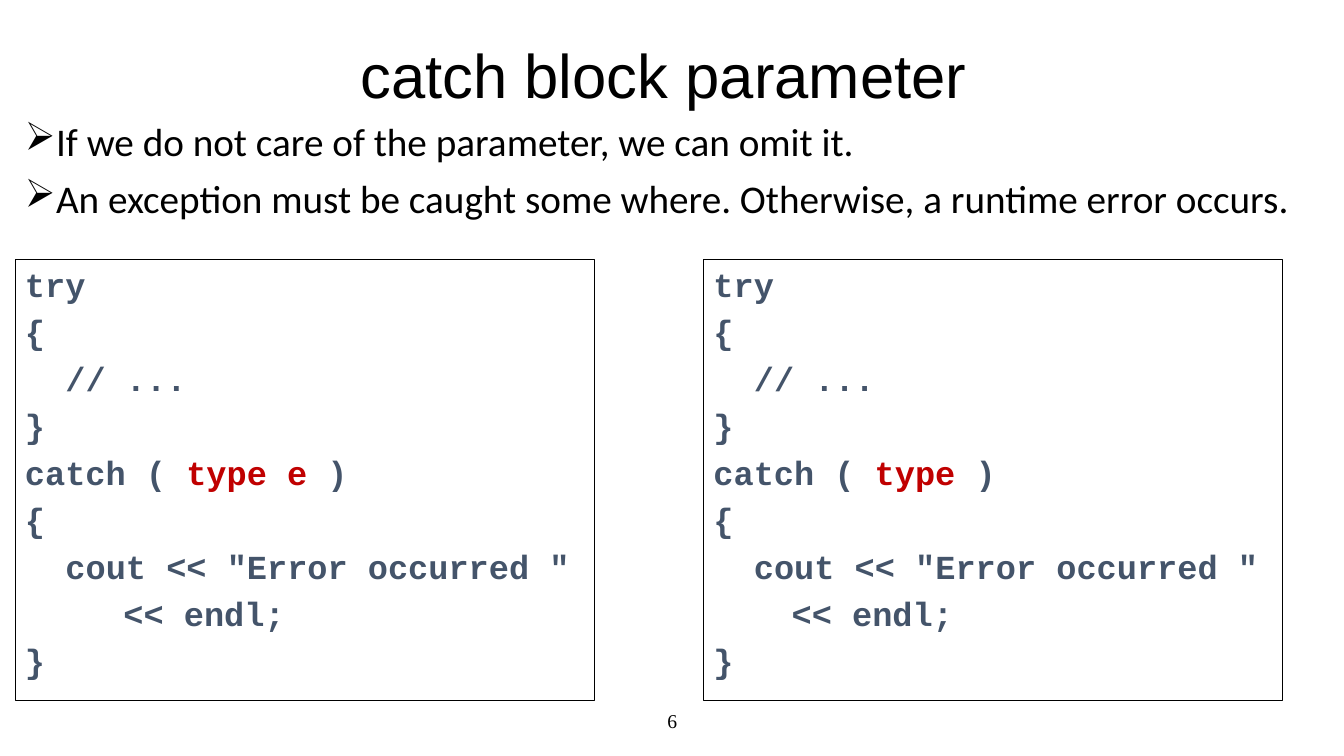
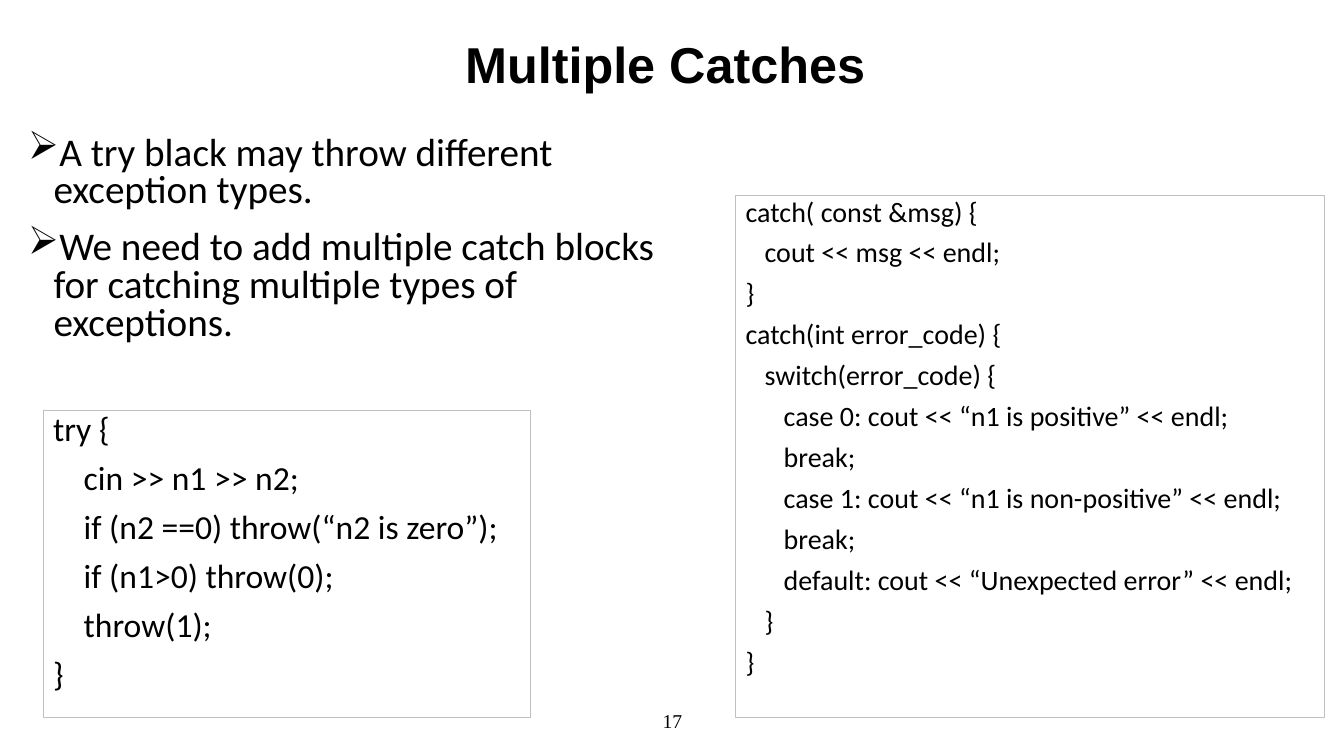
from pptx import Presentation
from pptx.util import Cm, Pt
from pptx.dml.color import RGBColor
from pptx.enum import shapes, text
from pptx.oxml import parse_xml
from pptx.oxml.ns import nsdecls

BLACK = RGBColor(0x00, 0x00, 0x00)
SLATE = RGBColor(0x44, 0x54, 0x6A)
RED = RGBColor(0xC0, 0x00, 0x00)
GREY = RGBColor(0xBF, 0xBF, 0xBF)
HANG = Cm(0.64)
# Wingdings draws this letter as an arrowhead
BULLET = ('<a:buFont {ns} typeface="Wingdings" charset="2"/>',
          '<a:buChar {ns} char="\u00d8"/>')


def add_run(p, words, font, size, color=BLACK, bold=False):
    r = p.add_run()
    r.text = words
    r.font.name, r.font.size, r.font.bold = font, Pt(size), bold
    r.font.color.rgb = color


def set_indent(p, left, first=0):
    pPr = p._p.get_or_add_pPr()
    pPr.set("marL", str(int(left)))
    pPr.set("indent", str(int(first)))
    return pPr


def next_paragraph(tf, i, spacing=1.0, before=0):
    p = tf.add_paragraph() if i else tf.paragraphs[0]
    p.line_spacing, p.space_before = spacing, Pt(before)
    return p


def add_text(s, x, y, w, h, anchor=text.MSO_ANCHOR.TOP):
    tf = s.shapes.add_textbox(Cm(x), Cm(y), Cm(w), Cm(h)).text_frame
    tf.word_wrap = True
    tf.vertical_anchor = anchor
    return tf


def add_centred(s, box, words, font, size, bold=False, spacing=1.0):
    tf = add_text(s, *box, anchor=text.MSO_ANCHOR.MIDDLE)
    p = next_paragraph(tf, 0, spacing)
    p.alignment = text.PP_ALIGN.CENTER
    add_run(p, words, font, size, bold=bold)


def add_slide(prs, number, title, top, height, size, bold=False):
    s = prs.slides.add_slide(prs.slide_layouts[6])
    add_centred(s, (11.23, 17.65, 11.43, 1.02), number, "Times New Roman", 14)
    add_centred(s, (6.15, top, 21.59, height), title, "Arial", size, bold, 0.9)
    return s


def add_bullets(s, box, items, spacing, before):
    tf = add_text(s, *box)
    for i, words in enumerate(items):
        p = next_paragraph(tf, i, spacing, before)
        pPr = set_indent(p, HANG, -HANG)
        for xml in BULLET:
            pPr.append(parse_xml(xml.format(ns=nsdecls("a"))))
        add_run(p, words, "Calibri", 28)


def add_code(s, box, lines, font, size, before, spacing=1.0,
             color=BLACK, border=GREY, bold=False):
    """Each line is (indent in cm, words, ...); every second piece of words is red."""
    sp = s.shapes.add_shape(shapes.MSO_SHAPE.RECTANGLE, *map(Cm, box))
    sp.shadow.inherit = False
    sp.fill.background()
    sp.line.color.rgb, sp.line.width = border, Pt(0.75)
    tf = sp.text_frame
    tf.word_wrap = True
    tf.vertical_anchor = text.MSO_ANCHOR.TOP
    for i, (indent, *pieces) in enumerate(lines):
        p = next_paragraph(tf, i, spacing, before)
        p.alignment = text.PP_ALIGN.LEFT
        set_indent(p, Cm(indent))
        for j, words in enumerate(pieces):
            add_run(p, words, font, size, RED if j % 2 else color, bold)


def catch_parameter(prs):
    s = add_slide(prs, "6", "catch block parameter ", 0, 3.96, 44)
    add_bullets(s, (0.38, 2.97, 33.48, 4.88), [
        "If we do not care of the parameter, we can omit it.",
        "An exception must be caught some where. Otherwise, a runtime error occurs.",
    ], 0.9, 10)
    # The same code with a named and an unnamed parameter
    for x, parameter, continuation in ((0.38, "type e ", 2.48),
                                       (17.73, "type ", 1.97)):
        add_code(s, (x, 6.53, 14.6, 11.13), [
            (0, "try"),
            (0, "{"),
            (1.02, "// ..."),
            (0, "}"),
            (0, "catch ( ", parameter, ")"),
            (0, "{"),
            (1.02, 'cout << "Error occurred " '),
            (continuation, "<< endl;"),
            (0, "}"),
        ], "Courier New", 24, 4.8, color=SLATE, border=BLACK, bold=True)


def multiple_catches(prs):
    s = add_slide(prs, "17", "Multiple Catches ", 0.84, 1.7, 36, True)
    add_bullets(s, (0.46, 3.3, 16.89, 13.87), [
        "A try black may throw different exception types. ",
        "We need to add multiple catch blocks for catching multiple types of exceptions.",
    ], 0.8, 14)
    # Throwing code
    step = 0.77
    add_code(s, (1.09, 10.34, 12.27, 7.75), [
        (0, "try {"),
        (step, "cin >> n1 >> n2;"),
        (step, "if (n2 ==0) throw(“n2 is zero”);"),
        (step, "if (n1>0) throw(0);"),
        (step, "throw(1);"),
        (0, "} "),
    ], "Calibri", 24, 12, 0.8)
    # Handlers
    step = 0.48
    add_code(s, (18.54, 4.93, 14.83, 13.16), [
        (0, "catch( const &msg) {"),
        (step, "cout << msg << endl;"),
        (0, "}"),
        (0, "catch(int error_code) {"),
        (step, "switch(error_code) {"),
        (2 * step, "case 0: cout << “n1 is positive” << endl;"),
        (2 * step, "break;"),
        (2 * step, "case 1: cout << “n1 is non-positive” << endl;"),
        (2 * step, "break;"),
        (2 * step, "default: cout << “Unexpected error” << endl;"),
        (step, "}"),
        (0, "}"),
    ], "Calibri", 20, 10, 0.8)


def main():
    prs = Presentation()
    prs.slide_width, prs.slide_height = Cm(33.87), Cm(19.05)
    catch_parameter(prs)
    multiple_catches(prs)
    prs.save("out.pptx")


main()
